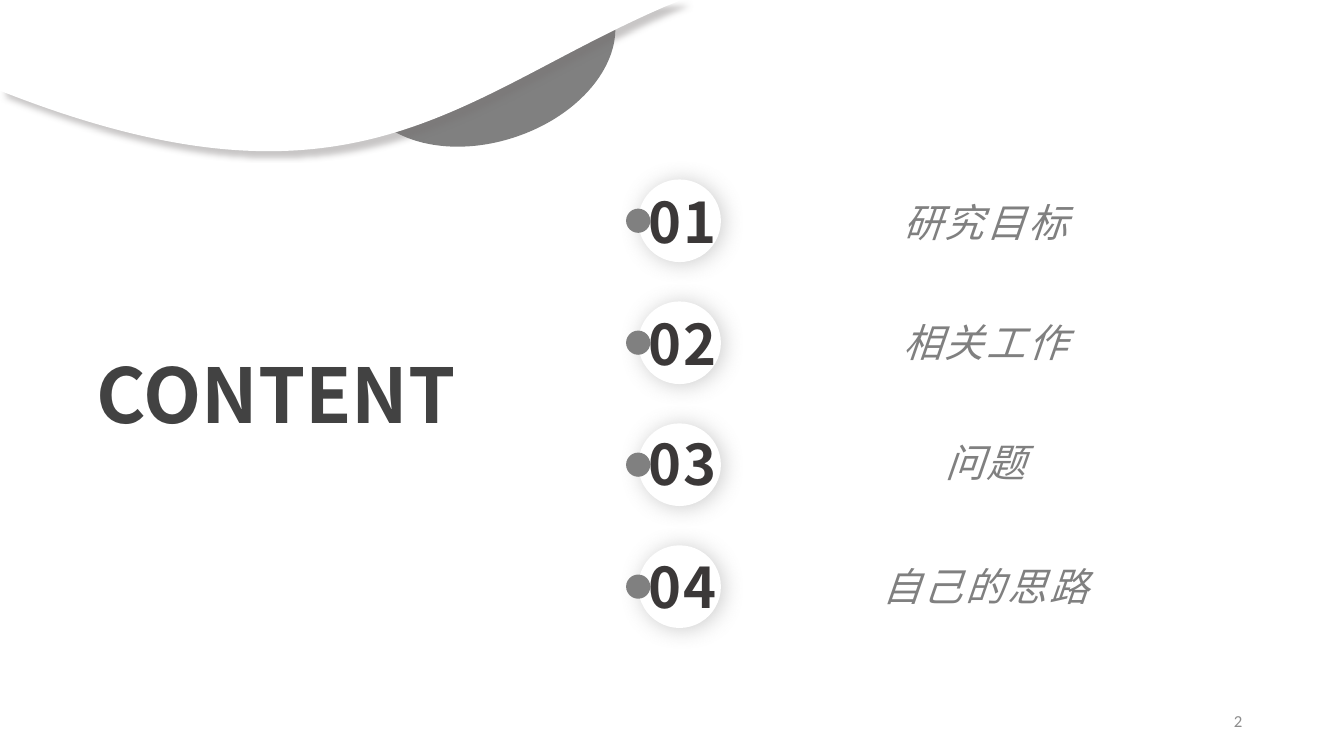
from math import cos, radians, sin
from lxml.etree import SubElement
from pptx import Presentation
from pptx.dml.color import RGBColor
from pptx.enum.shapes import MSO_SHAPE
from pptx.enum.text import MSO_ANCHOR, PP_ALIGN
from pptx.oxml.ns import qn
from pptx.util import Inches, Pt

W, H = 13.33, 7.5
COLORS = {
    "white": "FFFFFF", "gray": "808080", "title": "424242",
    "number": "3B3838", "page": "8C8C8C", "wave_shadow": "767171",
}
FONT = "Noto Sans CJK SC"
# Agenda entries: label, then offsets of number and label below the row top
ITEMS = [("研究目标", 0.08, 0.19), ("相关工作", 0.08, 0.17),
         ("问题", 0.06, 0.15), ("自己的思路", 0.07, 0.17)]


def rgb(name):
    return RGBColor.from_string(COLORS[name])


def add_text(shapes, text, box, size, color, font=FONT, bold=False, italic=False,
             align=PP_ALIGN.LEFT, anchor=MSO_ANCHOR.MIDDLE, inset=0, spacing=0, wrap=True):
    tf = shapes.add_textbox(*map(Inches, box)).text_frame
    tf.word_wrap = wrap
    tf.vertical_anchor = anchor
    tf.margin_left = tf.margin_right = Inches(inset)
    tf.margin_top = tf.margin_bottom = Inches(inset / 2)
    p = tf.paragraphs[0]
    p.alignment = align
    r = p.add_run()
    r.text = text
    r.font.size, r.font.name = Pt(size), font
    r.font.bold, r.font.italic = bold, italic
    r.font.color.rgb = rgb(color)
    rPr = r.font._element
    SubElement(rPr, qn("a:ea"), typeface=font)
    if spacing:
        rPr.set("spc", str(int(spacing * 100)))


def paint(sp, color, shadow=None):
    """Fill a shape; shadow is (colour, opacity %, blur pt, distance pt, angle)."""
    sp.fill.solid()
    sp.fill.fore_color.rgb = rgb(color)
    sp.line.fill.background()
    sp.shadow.inherit = False
    if shadow:
        name, opacity, blur, dist, angle = shadow
        effects = sp._element.spPr.find(qn("a:effectLst"))
        outer = SubElement(effects, qn("a:outerShdw"), blurRad=str(Pt(blur)),
                           dist=str(Pt(dist)), dir=str(angle * 60000),
                           algn="ctr", rotWithShape="0")
        clr = SubElement(outer, qn("a:srgbClr"), val=COLORS[name])
        SubElement(clr, qn("a:alpha"), val=str(opacity * 1000))


def add_circle(shapes, x, y, d, color, shadow=None):
    sp = shapes.add_shape(MSO_SHAPE.OVAL, *map(Inches, (x, y, d, d)))
    paint(sp, color, shadow)


def add_outline(shapes, box, start, segments, rotation=0):
    """Segments hold one point (line) or three (cubic), as seen on the slide."""
    left, top, width, height = box
    cx, cy = left + width / 2, top + height / 2
    c, s = cos(radians(rotation)), sin(radians(rotation))

    def local(point):
        """Undo the rotation and measure from the box corner."""
        dx, dy = point[0] - cx, point[1] - cy
        return (Inches(dx * c + dy * s + width / 2),
                Inches(dy * c - dx * s + height / 2))

    builder = shapes.build_freeform(*local(start))
    builder.add_line_segments([local(seg[-1]) for seg in segments], close=True)
    sp = builder.convert_to_shape()
    sp.left, sp.top, sp.width, sp.height = map(Inches, box)
    sp.rotation = rotation

    # Measure the outline in the box and bend the three-point segments
    outline = next(sp._element.iter(qn("a:path")))
    outline.set("w", str(sp.width))
    outline.set("h", str(sp.height))
    for step, seg in zip(list(outline), [[start]] + segments):
        if len(seg) == 3:
            curve = SubElement(outline, qn("a:cubicBezTo"))
            outline.replace(step, curve)
            step = curve
        for pt in list(step):
            step.remove(pt)
        for x, y in map(local, seg):
            SubElement(step, qn("a:pt"), x=str(x), y=str(y))
    return sp


def add_header(shapes):
    # Tilted gray leaf, partly covered by the wave
    leaf = add_outline(shapes, (3.53, -0.27, 2.64, 1.68), (3.89, 0), [
        [(6.04, 0)], [(6.07, 0.08)],
        [(6.23, 0.56), (5.8, 1.13), (5.11, 1.36)],
        [(4.42, 1.59), (3.73, 1.39), (3.57, 0.91)],
        [(3.47, 0.61), (3.6, 0.27), (3.88, 0.01)],
    ], rotation=341.6)
    paint(leaf, "gray")
    # White wave
    wave = add_outline(shapes, (0, 0, 6.76, 1.5), (0, 0), [
        [(6.76, 0)], [(6.61, 0.06)],
        [(4.54, 0.95), (3.52, 2.29), (0, 0.9)],
    ])
    paint(wave, "white", ("wave_shadow", 40, 4, 6, 45))


def add_item(shapes, number, label, number_dy, label_dy, x, y):
    # Numbered badge
    badge = shapes.add_group_shape().shapes
    d, dot = 0.82, 0.24
    add_circle(badge, x, y, d, "white", ("gray", 40, 16, 2, 30))
    add_circle(badge, x - dot / 2, y + (d - dot) / 2, dot, "gray")
    add_text(badge, f"{number:02}", (x - 0.14, y + number_dy, 1.15, 0.67), 40, "number",
             bold=True, align=PP_ALIGN.CENTER, spacing=1.5)
    # Label
    add_text(shapes, label, (x + 0.3, y + label_dy, 6.29, 0.47), 28, "gray",
             italic=True, align=PP_ALIGN.CENTER, spacing=2)


def add_agenda(shapes, x, y, row_height):
    for i, item in enumerate(ITEMS):
        add_item(shapes, i + 1, *item, x, y + i * row_height)


def main():
    prs = Presentation()
    prs.slide_width, prs.slide_height = Inches(W), Inches(H)
    slide = prs.slides.add_slide(prs.slide_layouts[6])
    slide.background.fill.solid()
    slide.background.fill.fore_color.rgb = rgb("white")
    shapes = slide.shapes

    add_header(shapes)
    add_text(shapes, "CONTENT", (0.86, 3.4, 3.99, 1.01), 54, "title", bold=True,
             anchor=MSO_ANCHOR.TOP, inset=0.1, wrap=False)
    add_agenda(shapes, 6.33, 1.78, 1.21)
    # Page number
    add_text(shapes, "2", (9.42, 6.95, 3, 0.4), 12, "page", font="Calibri",
             align=PP_ALIGN.RIGHT, inset=0.1)
    prs.save("out.pptx")


if __name__ == "__main__":
    main()
